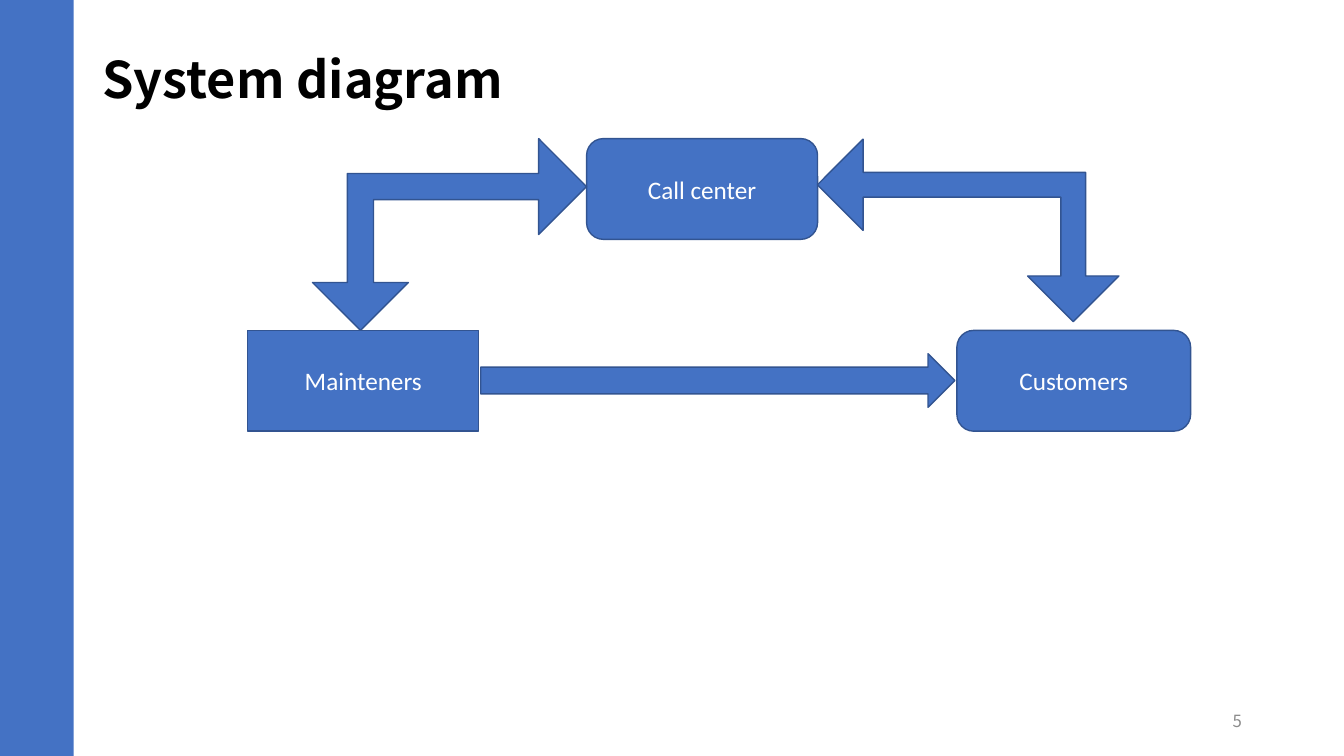
from pptx import Presentation
from pptx.dml.color import RGBColor
from pptx.enum.shapes import MSO_SHAPE
from pptx.enum.text import MSO_ANCHOR, PP_ALIGN
from pptx.util import Pt

COLORS = {"blue": "4472C4", "outline": "325491", "black": "000000",
          "white": "FFFFFF", "gray": "8C8C8C"}
HEADING_FONT = "Noto Sans CJK SC"
BODY_FONT = "Calibri"


def add_block(kind, left, top, width, height, outlined=True):
    shape = slide.shapes.add_shape(kind, Pt(left), Pt(top), Pt(width), Pt(height))
    shape.shadow.inherit = False
    shape.fill.solid()
    shape.fill.fore_color.rgb = RGBColor.from_string(COLORS["blue"])
    if outlined:
        shape.line.color.rgb = RGBColor.from_string(COLORS["outline"])
        shape.line.width = Pt(1)
    else:
        shape.line.fill.background()
    return shape


def write_text(shape, text, size, font, color, alignment, bold=False):
    frame = shape.text_frame
    frame.word_wrap = True
    frame.vertical_anchor = MSO_ANCHOR.MIDDLE
    paragraph = frame.paragraphs[0]
    paragraph.alignment = alignment
    run = paragraph.add_run()
    run.text = text
    run.font.size = Pt(size)
    run.font.name = font
    run.font.bold = bold
    run.font.color.rgb = RGBColor.from_string(COLORS[color])
    return paragraph


presentation = Presentation()
presentation.slide_width = Pt(960)
presentation.slide_height = Pt(540)
slide = presentation.slides.add_slide(presentation.slide_layouts[6])

# Side band
add_block(MSO_SHAPE.RECTANGLE, 0, 0, 52.7, 540, outlined=False)

# Title and page number
title = slide.shapes.add_textbox(Pt(66.2), Pt(28.8), Pt(828), Pt(59.8))
title_paragraph = write_text(title, "System diagram", 36, HEADING_FONT, "black",
                             PP_ALIGN.LEFT, bold=True)
title_paragraph.line_spacing = 0.9
page_number = slide.shapes.add_textbox(Pt(678.2), Pt(500.4), Pt(216), Pt(28.8))
write_text(page_number, "5", 12, HEADING_FONT, "gray", PP_ALIGN.RIGHT)

# Parties in the system
parties = [
    ("Call center", MSO_SHAPE.ROUNDED_RECTANGLE, 419, 99, 165),
    ("Mainteners", MSO_SHAPE.RECTANGLE, 177, 236, 165),
    ("Customers", MSO_SHAPE.ROUNDED_RECTANGLE, 683.5, 236, 167),
]
for name, kind, left, top, width in parties:
    party = add_block(kind, left, top, width, 72)
    write_text(party, name, 18, BODY_FONT, "white", PP_ALIGN.CENTER)

# Two-way bent arrows between the call center and the other parties
bent_arrows = [(223.2, 99, 195.8, 137, 180), (626.4, 56.9, 130.3, 215.3, 270)]
for left, top, width, height, rotation in bent_arrows:
    arrow = add_block(MSO_SHAPE.LEFT_UP_ARROW, left, top, width, height)
    arrow.rotation = rotation
    for index, value in enumerate([0.136, 0.25, 0.25]):
        arrow.adjustments[index] = value

# Arrow from maintainers to customers
add_block(MSO_SHAPE.RIGHT_ARROW, 343.4, 252.7, 338.6, 38.2)

presentation.save("out.pptx")
